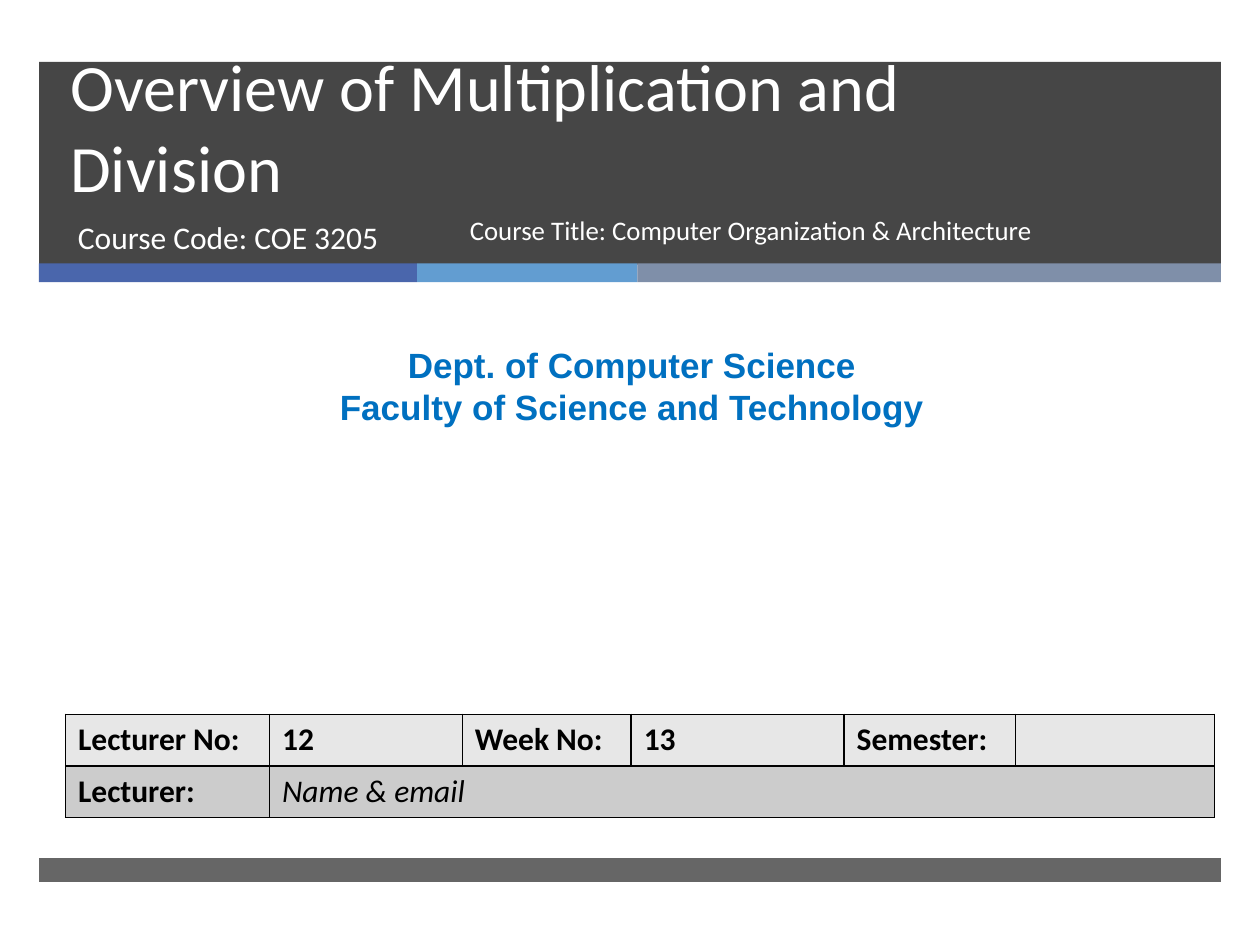
from lxml import etree
from pptx import Presentation
from pptx.dml.color import RGBColor
from pptx.enum import shapes, text
from pptx.oxml.ns import qn
from pptx.util import Inches, Pt

COLORS = {
    "charcoal": "262626", "indigo": "4A66AC", "sky": "629DD1", "slate": "7F8FA9",
    "white": "FFFFFF", "black": "000000", "blue": "0070C0",
    "light": "E7E7E7", "mid": "CCCCCC",
}

BAND_LEFT, BAND_WIDTH = 0.31, 9.38
# top, height, opacity in percent
DARK_BANDS = [(0.49, 1.61, 85), (6.81, 0.19, 70)]
# width, colour
STRIPE = [(3, "indigo"), (1.75, "sky"), (4.63, "slate")]
STRIPE_TOP, STRIPE_HEIGHT = 2.09, 0.15

# place, lines, font, size, colour, other settings
TEXTS = [
    ((0.46, 0.49, 8.54, 1.19), ["Overview of Multiplication and Division"],
     "Calibri", 37.8, "white", {"anchor": text.MSO_ANCHOR.BOTTOM, "spacing": Pt(46)}),
    ((0.52, 1.68, 3.05, 0.53), ["Course Code: COE 3205"],
     "Calibri", 18, "white", {}),
    ((0.08, 2.68, 9.87, 0.77),
     ["Dept. of Computer Science", "Faculty of Science and Technology"],
     "Arial", 20, "blue", {"align": text.PP_ALIGN.CENTER, "bold": True}),
    ((3.63, 1.68, 4.69, 0.53), ["Course Title: Computer Organization & Architecture"],
     "Calibri", 15.3, "white", {"spacing": 0.9}),
]

TABLE_LEFT, TABLE_TOP, ROW_HEIGHT = 0.52, 5.67, 0.41
COLUMN_WIDTHS = [1.62, 1.53, 1.34, 1.69, 1.36, 1.58]
ROWS = [
    ("light", ["Lecturer No:", "12", "Week No:", "13", "Semester:", ""]),
    ("mid", ["Lecturer:", "Name & email", "", "", "", ""]),
]


def rgb(name):
    return RGBColor.from_string(COLORS[name])


def add_band(page, place, color, opacity=100):
    band = page.shapes.add_shape(shapes.MSO_SHAPE.RECTANGLE, *map(Inches, place))
    band.shadow.inherit = False
    band.line.fill.background()
    band.fill.solid()
    band.fill.fore_color.rgb = rgb(color)
    if opacity < 100:
        fill_color = band._element.spPr.find(".//" + qn("a:srgbClr"))
        etree.SubElement(fill_color, qn("a:alpha"), val=str(opacity * 1000))


def style_font(font, name, size, color, bold=False, italic=False):
    font.name, font.size = name, Pt(size)
    font.bold, font.italic = bold, italic
    font.color.rgb = rgb(color)


def add_text(page, place, lines, font, size, color, settings):
    box = page.shapes.add_textbox(*map(Inches, place))
    frame = box.text_frame
    frame.word_wrap = True
    frame.vertical_anchor = settings.get("anchor", text.MSO_ANCHOR.TOP)
    frame.text = "\n".join(lines)
    for paragraph in frame.paragraphs:
        paragraph.alignment = settings.get("align")
        paragraph.line_spacing = settings.get("spacing")
        style_font(paragraph.font, font, size, color, settings.get("bold", False))


def add_borders(cell, color="black", width=1):
    properties = cell._tc.get_or_add_tcPr()
    for index, side in enumerate(("a:lnL", "a:lnR", "a:lnT", "a:lnB")):
        line = etree.Element(qn(side), w=str(Pt(width)))
        fill = etree.SubElement(line, qn("a:solidFill"))
        etree.SubElement(fill, qn("a:srgbClr"), val=COLORS[color])
        properties.insert(index, line)


def add_lecture_table(page):
    table = page.shapes.add_table(
        len(ROWS), len(COLUMN_WIDTHS), Inches(TABLE_LEFT), Inches(TABLE_TOP),
        Inches(sum(COLUMN_WIDTHS)), Inches(ROW_HEIGHT * len(ROWS))).table
    for column, width in zip(table.columns, COLUMN_WIDTHS):
        column.width = Inches(width)
    for r, (fill, labels) in enumerate(ROWS):
        table.rows[r].height = Inches(ROW_HEIGHT)
        for c, label in enumerate(labels):
            cell = table.cell(r, c)
            cell.text = label
            is_hint = label == "Name & email"
            style_font(cell.text_frame.paragraphs[0].font, "Calibri", 18, "black",
                       bold=not is_hint, italic=is_hint)
            cell.fill.solid()
            cell.fill.fore_color.rgb = rgb(fill)
            add_borders(cell)
    table.cell(1, 1).merge(table.cell(1, len(COLUMN_WIDTHS) - 1))


def main():
    deck = Presentation()
    deck.slide_width, deck.slide_height = Inches(10), Inches(7.5)
    page = deck.slides.add_slide(deck.slide_layouts[6])

    for top, height, opacity in DARK_BANDS:
        add_band(page, (BAND_LEFT, top, BAND_WIDTH, height), "charcoal", opacity)
    left = BAND_LEFT
    for width, color in STRIPE:
        add_band(page, (left, STRIPE_TOP, width, STRIPE_HEIGHT), color)
        left += width
    for entry in TEXTS:
        add_text(page, *entry)
    add_lecture_table(page)

    deck.save("out.pptx")


if __name__ == "__main__":
    main()
